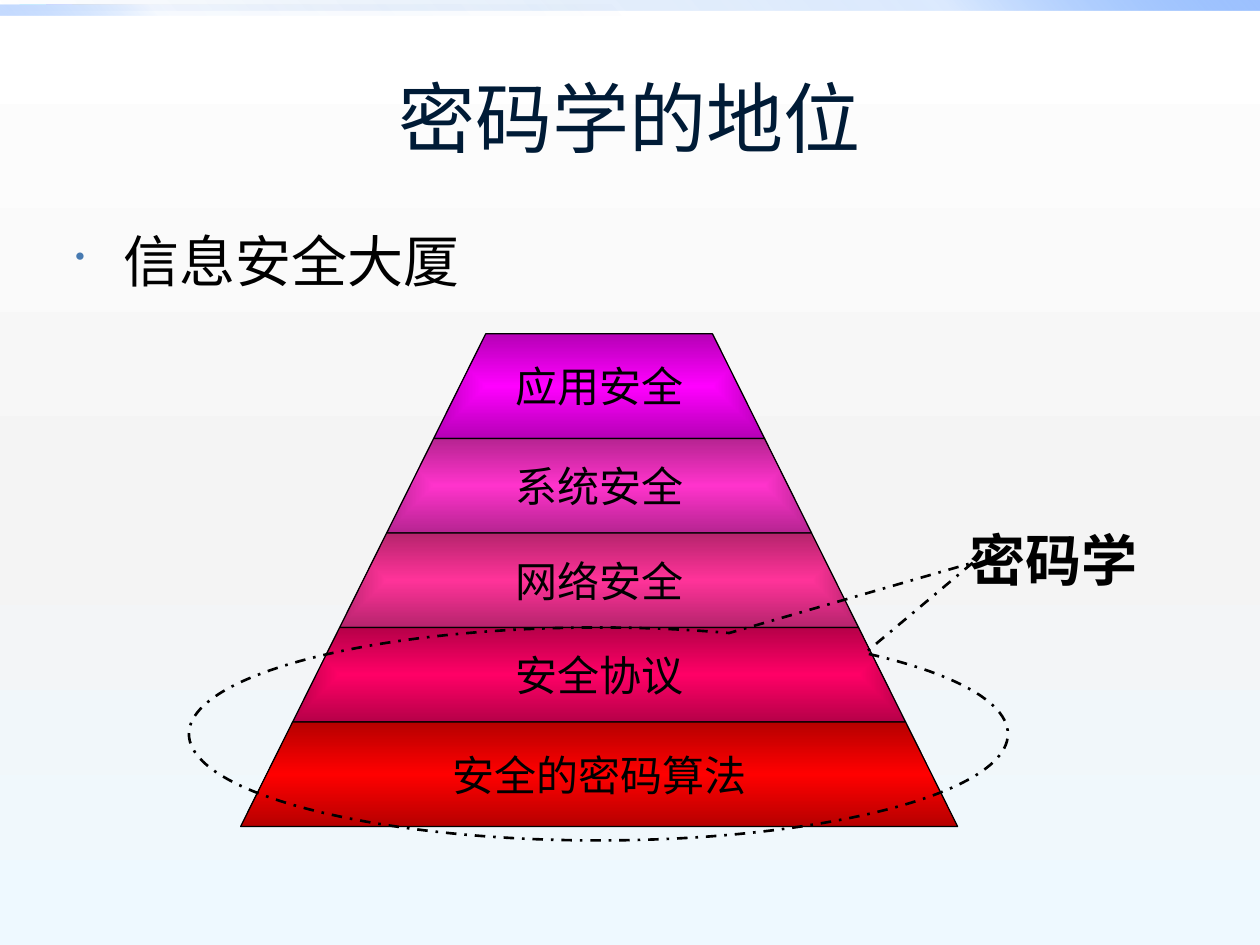
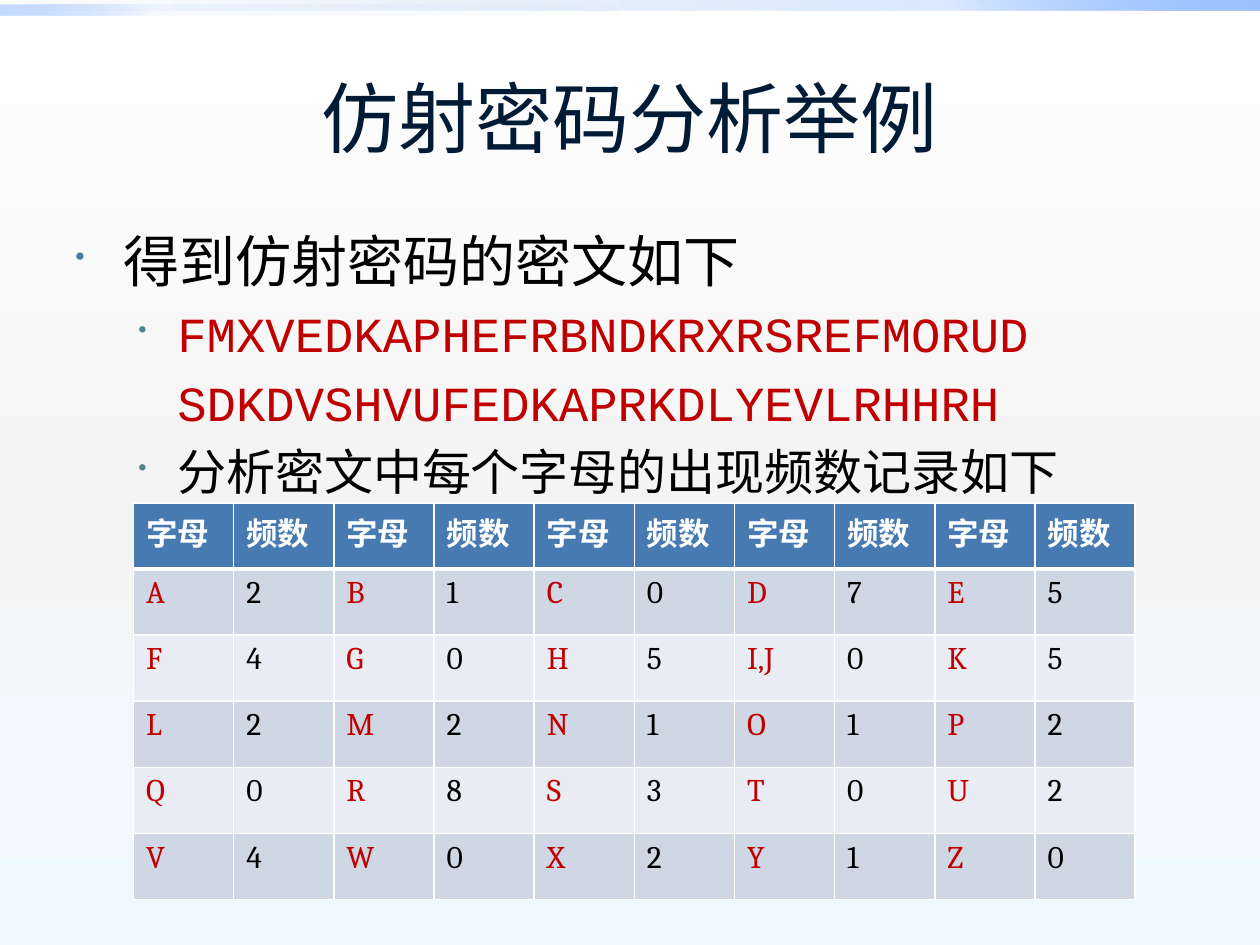
import dataclasses

import pptx
import pptx.dml.color
import pptx.enum.dml
import pptx.enum.shapes
import pptx.enum.text
import pptx.oxml
import pptx.oxml.ns
import pptx.util

Inches = pptx.util.Inches
Pt = pptx.util.Pt
qn = pptx.oxml.ns.qn
NS = pptx.oxml.ns.nsdecls("a")
SHAPE = pptx.enum.shapes.MSO_SHAPE
ALIGN = pptx.enum.text.PP_ALIGN
ANCHOR = pptx.enum.text.MSO_ANCHOR


@dataclasses.dataclass(frozen=True)
class Theme:
    ink: str = "000000"
    title: str = "001B36"
    accent: str = "C00000"
    white: str = "FFFFFF"
    header: str = "477AB1"
    bullets: tuple = ("477AB1", "51848E")
    row_fills: tuple = ("CFD7E4", "E9ECF2")
    background: tuple = ((0, "FFFFFF"), (55, "F4F4F4"), (100, "EEF9FF"))
    band_colors: tuple = ("0058B7", "4F95FF", "9EC2FF")
    title_font: dict = dataclasses.field(
        default_factory=lambda: {"name": "Calibri", "size": Pt(44)})
    body_font: dict = dataclasses.field(
        default_factory=lambda: {"name": "Cambria", "size": Pt(32)})
    sub_font: dict = dataclasses.field(
        default_factory=lambda: {"name": "Cambria", "size": Pt(28)})
    cipher_font: dict = dataclasses.field(
        default_factory=lambda: {"name": "Courier New", "size": Pt(28)})
    tier_font: dict = dataclasses.field(
        default_factory=lambda: {"name": "Times New Roman", "size": Pt(24)})
    label_font: dict = dataclasses.field(
        default_factory=lambda: {"name": "Times New Roman", "size": Pt(32), "bold": True})
    cell_font: dict = dataclasses.field(
        default_factory=lambda: {"name": "Cambria", "size": Pt(18), "bold": False})


THEME = Theme()
TITLE_BOX = (0.5, 0.3, 9, 1.25)


def rgb(color):
    return pptx.dml.color.RGBColor.from_string(color)


def inches(box):
    return [Inches(v) for v in box]


def set_gradient(element, fill, stops, direction):
    """Stops are (percent, colour, optional modifier XML)."""
    fill.gradient()
    stops_xml = "".join(
        f'<a:gs pos="{pos * 1000}"><a:srgbClr val="{color}">{"".join(mods)}</a:srgbClr></a:gs>'
        for pos, color, *mods in stops)
    old = next(element.iter(qn("a:gradFill")))
    new = pptx.oxml.parse_xml(
        f'<a:gradFill {NS} rotWithShape="1"><a:gsLst>{stops_xml}</a:gsLst>{direction}</a:gradFill>')
    old.getparent().replace(old, new)


def linear(degrees):
    return f'<a:lin ang="{degrees * 60000}" scaled="0"/>'


def write(p, text, font, color, align=None):
    p.alignment = align
    r = p.add_run()
    r.text = text
    for name, value in font.items():
        setattr(r.font, name, value)
    r.font.color.rgb = rgb(color)


def space_before(p, percent):
    p._p.get_or_add_pPr().append(pptx.oxml.parse_xml(
        f'<a:spcBef {NS}><a:spcPct val="{percent * 1000}"/></a:spcBef>'))


def add_text_box(slide, box, anchor=ANCHOR.TOP):
    tf = slide.shapes.add_textbox(*inches(box)).text_frame
    tf.word_wrap = True
    tf.vertical_anchor = anchor
    return tf


def add_bands(slide):
    bands = [((0, 0, 10, 0.08), 315, (0, 20, 100)),
             ((0, 0.04, 5, 0.08), 135, (0, 5, 60))]
    for box, angle, opacities in bands:
        sp = slide.shapes.add_shape(SHAPE.RECTANGLE, *inches(box))
        sp.shadow.inherit = False
        sp.line.fill.background()
        stops = [(pos, color, f'<a:alpha val="{opacity * 1000}"/>')
                 for pos, color, opacity in zip((0, 75, 100), THEME.band_colors, opacities)]
        set_gradient(sp._element.spPr, sp.fill, stops, linear(angle))


def add_titled_slide(prs, title):
    slide = prs.slides.add_slide(prs.slide_layouts[6])
    add_bands(slide)
    tf = add_text_box(slide, TITLE_BOX, ANCHOR.MIDDLE)
    write(tf.paragraphs[0], title, THEME.title_font, THEME.title, ALIGN.CENTER)
    return slide


def add_body(slide, box, items):
    """Items are (level, has bullet, text, font, colour)."""
    tf = add_text_box(slide, box)
    for i, (level, bullet, text, font, color) in enumerate(items):
        p = tf.add_paragraph() if i else tf.paragraphs[0]
        p.level = level
        pPr = p._p.get_or_add_pPr()
        margin, hang = ((0.38, 0.38), (0.81, 0.31))[level]
        pPr.set("marL", str(Inches(margin)))
        pPr.set("indent", str(-Inches(hang) if bullet else 0))
        space_before(p, 20)
        if bullet:
            for xml in (f'<a:buClr {NS}><a:srgbClr val="{THEME.bullets[level]}"/></a:buClr>',
                        f'<a:buSzPct {NS} val="50000"/>',
                        f'<a:buChar {NS} char="•"/>'):
                pPr.append(pptx.oxml.parse_xml(xml))
        write(p, text, font, color)


def add_tier(slide, center, top, height, top_half, bottom_half, text, color, base):
    bottom = top + height
    corners = [(center - top_half, top), (center + top_half, top),
               (center + bottom_half, bottom), (center - bottom_half, bottom)]
    points = [inches(corner) for corner in corners]
    builder = slide.shapes.build_freeform(*points[0])
    builder.add_line_segments(points[1:], close=True)
    sp = builder.convert_to_shape()
    sp.shadow.inherit = False
    sp.line.color.rgb = rgb(THEME.ink)
    sp.line.width = Pt(0.75)
    shade = '<a:shade val="46275"/>'
    if base:
        stops = [(0, color, shade), (50, color), (100, color, shade)]
        direction = linear(90)
    else:
        stops = [(0, color), (100, color, shade)]
        direction = ('<a:path path="shape"><a:fillToRect l="50000" t="50000" '
                     'r="50000" b="50000"/></a:path>')
    set_gradient(sp._element.spPr, sp.fill, stops, direction)
    tf = sp.text_frame
    tf.word_wrap = False
    tf.vertical_anchor = ANCHOR.MIDDLE
    write(tf.paragraphs[0], text, THEME.tier_font, THEME.ink, ALIGN.CENTER)


def add_pyramid(slide, box, tiers):
    """The first and last tiers are taller; the sides run straight from top to base."""
    left, top, width, height = box
    center, peak_half = left + width / 2, 0.9
    end_height = 0.83
    middle_height = (height - 2 * end_height) / (len(tiers) - 2)
    slope = (width / 2 - peak_half) / height
    y, half = top, peak_half
    for i, (text, color) in enumerate(tiers):
        base = i == len(tiers) - 1
        tier_height = end_height if base or i == 0 else middle_height
        next_half = half + slope * tier_height
        add_tier(slide, center, y, tier_height, half, next_half, text, color, base)
        y, half = y + tier_height, next_half


def add_callout(slide, box, label_box, text):
    sp = slide.shapes.add_shape(SHAPE.OVAL_CALLOUT, *inches(box))
    sp.shadow.inherit = False
    sp.adjustments[0], sp.adjustments[1] = 0.457, -0.804
    sp.fill.background()
    sp.line.color.rgb = rgb(THEME.ink)
    sp.line.width = Pt(1.5)
    sp.line.dash_style = pptx.enum.dml.MSO_LINE.DASH_DOT
    p = add_text_box(slide, label_box).paragraphs[0]
    space_before(p, 50)
    write(p, text, THEME.label_font, THEME.ink, ALIGN.CENTER)


def set_borders(cell, widths):
    tcPr = cell._tc.get_or_add_tcPr()
    for side, width in zip("LRTB", widths):
        tcPr.append(pptx.oxml.parse_xml(
            f'<a:ln{side} {NS} w="{Pt(width)}"><a:solidFill>'
            f'<a:srgbClr val="{THEME.white}"/></a:solidFill></a:ln{side}>'))


def add_frequency_table(slide, box, counts, pairs=5):
    """Letters and their counts run across the rows, in pairs of columns."""
    header = ["字母", "频数"] * pairs
    flat = [str(v) for pair in counts for v in pair]
    step = 2 * pairs
    rows = [header] + [flat[i:i + step] for i in range(0, len(flat), step)]
    table = slide.shapes.add_table(len(rows), step, *inches(box)).table
    table.horz_banding = False
    for col in table.columns:
        col.width = Inches(box[2] / step)
    for i, values in enumerate(rows):
        table.rows[i].height = Inches(box[3] / len(rows))
        for j, value in enumerate(values):
            cell = table.cell(i, j)
            set_borders(cell, (1, 1, 3 if i == 1 else 1, 3 if i == 0 else 1))
            cell.fill.solid()
            if i == 0:
                fill, color = THEME.header, THEME.white
            else:
                fill = THEME.row_fills[(i - 1) % 2]
                color = THEME.ink if j % 2 else THEME.accent
            cell.fill.fore_color.rgb = rgb(fill)
            write(cell.text_frame.paragraphs[0], value,
                  {**THEME.cell_font, "bold": i == 0}, color)


def add_status_slide(prs):
    slide = add_titled_slide(prs, "密码学的地位")
    add_body(slide, (0.5, 1.75, 9, 4.95),
             [(0, True, "信息安全大厦", THEME.body_font, THEME.ink)])
    add_pyramid(slide, (1.91, 2.65, 5.69, 3.91), [
        ("应用安全", "FF00FF"),
        ("系统安全", "FF33CC"),
        ("网络安全", "FF3399"),
        ("安全协议", "FF0066"),
        ("安全的密码算法", "FF0000"),
    ])
    add_callout(slide, (1.5, 4.98, 6.5, 1.69), (7.52, 4.12, 1.69, 0.63), "密码学")


def add_affine_slide(prs):
    slide = add_titled_slide(prs, "仿射密码分析举例")
    add_body(slide, (0.5, 1.75, 9, 2.24), [
        (0, True, "得到仿射密码的密文如下", THEME.body_font, THEME.ink),
        (1, True, "FMXVEDKAPHEFRBNDKRXRSREFMORUD", THEME.cipher_font, THEME.accent),
        (1, False, "SDKDVSHVUFEDKAPRKDLYEVLRHHRH", THEME.cipher_font, THEME.accent),
        (1, True, "分析密文中每个字母的出现频数记录如下", THEME.sub_font, THEME.ink),
    ])
    letters = ["I,J" if c == "I" else c for c in "ABCDEFGHIKLMNOPQRSTUVWXYZ"]
    counts = [2, 1, 0, 7, 5,
              4, 0, 5, 0, 5,
              2, 2, 1, 1, 2,
              0, 8, 3, 0, 2,
              4, 0, 2, 1, 0]
    add_frequency_table(slide, (1.06, 3.99, 7.95, 3.15), list(zip(letters, counts)))


def main():
    prs = pptx.Presentation()
    prs.slide_width, prs.slide_height = Inches(10), Inches(7.5)
    master = prs.slide_master
    set_gradient(master._element, master.background.fill, THEME.background, linear(90))
    add_status_slide(prs)
    add_affine_slide(prs)
    prs.save("out.pptx")


if __name__ == "__main__":
    main()
